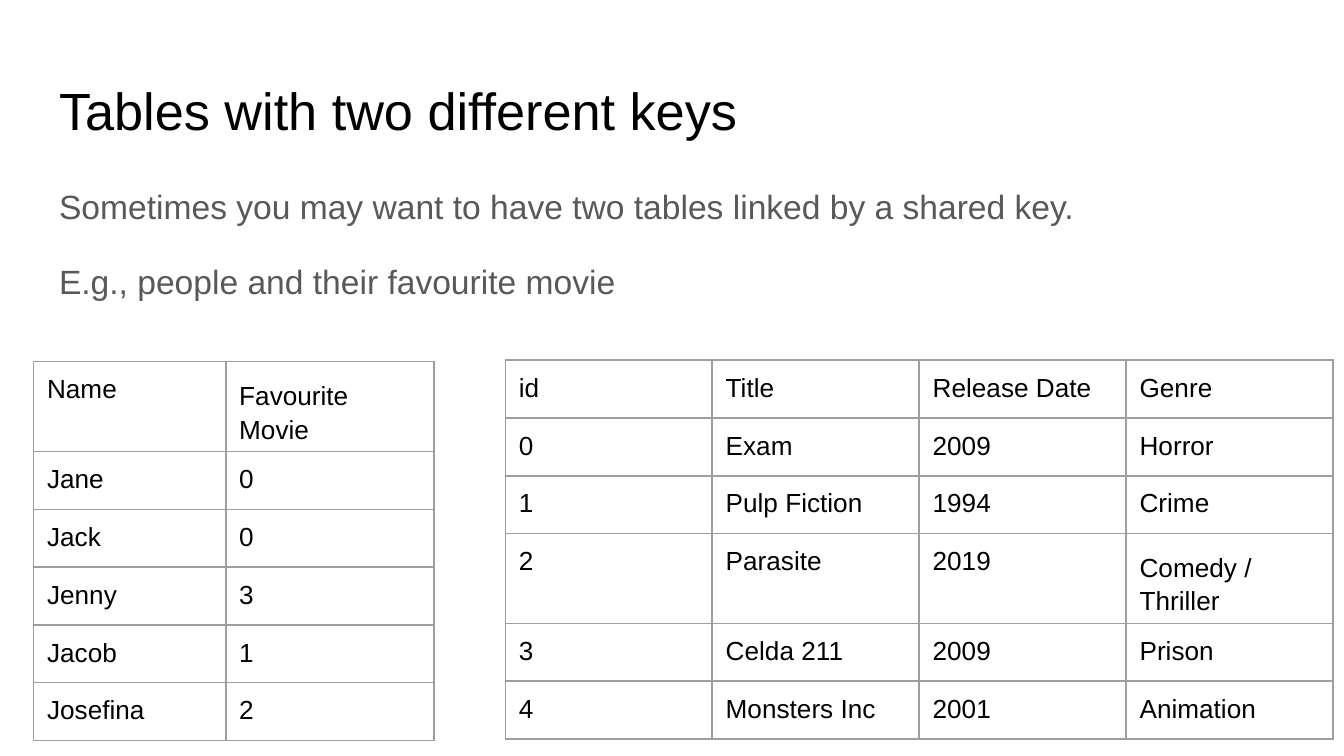
import pptx
import pptx.util
import pptx.dml.color
import pptx.oxml
import pptx.oxml.ns
from dataclasses import dataclass

Inches, Pt = pptx.util.Inches, pptx.util.Pt


@dataclass(frozen=True)
class Theme:
    font: str = "Arial"
    ink: str = "000000"
    muted: str = "595959"
    rule: str = "9E9E9E"
    title_size: int = 28
    body_size: int = 18
    cell_size: int = 14


theme = Theme()
deck = pptx.Presentation()
deck.slide_width = Inches(10)
deck.slide_height = deck.slide_width * 9 // 16
page = deck.slides.add_slide(deck.slide_layouts[6])


def style(para, size, color):
    """Set the font of a whole paragraph."""
    para.font.name = theme.font
    para.font.size = Pt(size)
    para.font.color.rgb = pptx.dml.color.RGBColor.from_string(color)


def add_border(cell):
    """Draw a thin rule on all four sides of a cell."""
    properties = cell._tc.get_or_add_tcPr()
    for position, side in enumerate(("lnL", "lnR", "lnT", "lnB")):
        line = pptx.oxml.parse_xml(
            f'<a:{side} {pptx.oxml.ns.nsdecls("a")} w="{Pt(1)}"><a:solidFill>'
            f'<a:srgbClr val="{theme.rule}"/></a:solidFill></a:{side}>')
        properties.insert(position, line)


# Heading and introduction
texts = [
    (0.56, 8.04, 0.49, theme.title_size, theme.ink, ["Tables with two different keys"]),
    (1.36, 7.6, 0.88, theme.body_size, theme.muted,
     ["Sometimes you may want to have two tables linked by a shared key.",
      "E.g., people and their favourite movie"]),
]
for top, width, height, size, color, lines in texts:
    box = page.shapes.add_textbox(Inches(0.43), Inches(top), Inches(width), Inches(height))
    frame = box.text_frame
    frame.word_wrap = True
    frame.margin_left = Inches(0.01)
    frame.margin_top = Inches(0.02)
    frame.margin_right = frame.margin_bottom = 0
    frame.text = "\n".join(lines)
    for index, para in enumerate(frame.paragraphs):
        style(para, size, color)
        para.space_before = Pt(19 if index else 0)

# The two linked tables
people = [
    ("Name", "Favourite Movie"),
    ("Jane", "0"),
    ("Jack", "0"),
    ("Jenny", "3"),
    ("Jacob", "1"),
    ("Josefina", "2"),
]
movies = [
    ("id", "Title", "Release Date", "Genre"),
    ("0", "Exam", "2009", "Horror"),
    ("1", "Pulp Fiction", "1994", "Crime"),
    ("2", "Parasite", "2019", "Comedy / Thriller"),
    ("3", "Celda 211", "2009", "Prison"),
    ("4", "Monsters Inc", "2001", "Animation"),
]
two_line_texts = {"Favourite Movie": 1.15, "Comedy / Thriller": 1.13}
row_height, tall_row_height = 0.43, 0.67

tables = [
    (0.25, 2.69, [1.43, 1.55], people),
    (3.76, 2.68, [1.54] * 4, movies),
]
for left, top, widths, records in tables:
    heights = [tall_row_height if two_line_texts.keys() & set(record) else row_height
               for record in records]
    holder = page.shapes.add_table(len(records), len(widths), Inches(left), Inches(top),
                                   Inches(sum(widths)), Inches(sum(heights)))
    table = holder.table
    table.first_row = table.horz_banding = False
    for column, width in zip(table.columns, widths):
        column.width = Inches(width)
    for row, height, record in zip(table.rows, heights, records):
        row.height = Inches(height)
        for cell, text in zip(row.cells, record):
            wraps = text in two_line_texts
            cell.text = text
            cell.margin_left = Inches(0.1)
            cell.margin_top = Inches(0.12 if wraps else 0.1)
            cell.margin_right = Inches(0.3 if wraps else 0)
            cell.margin_bottom = 0
            cell.fill.background()
            add_border(cell)
            para = cell.text_frame.paragraphs[0]
            style(para, theme.cell_size, theme.ink)
            if wraps:
                para.line_spacing = two_line_texts[text]

deck.save("out.pptx")
